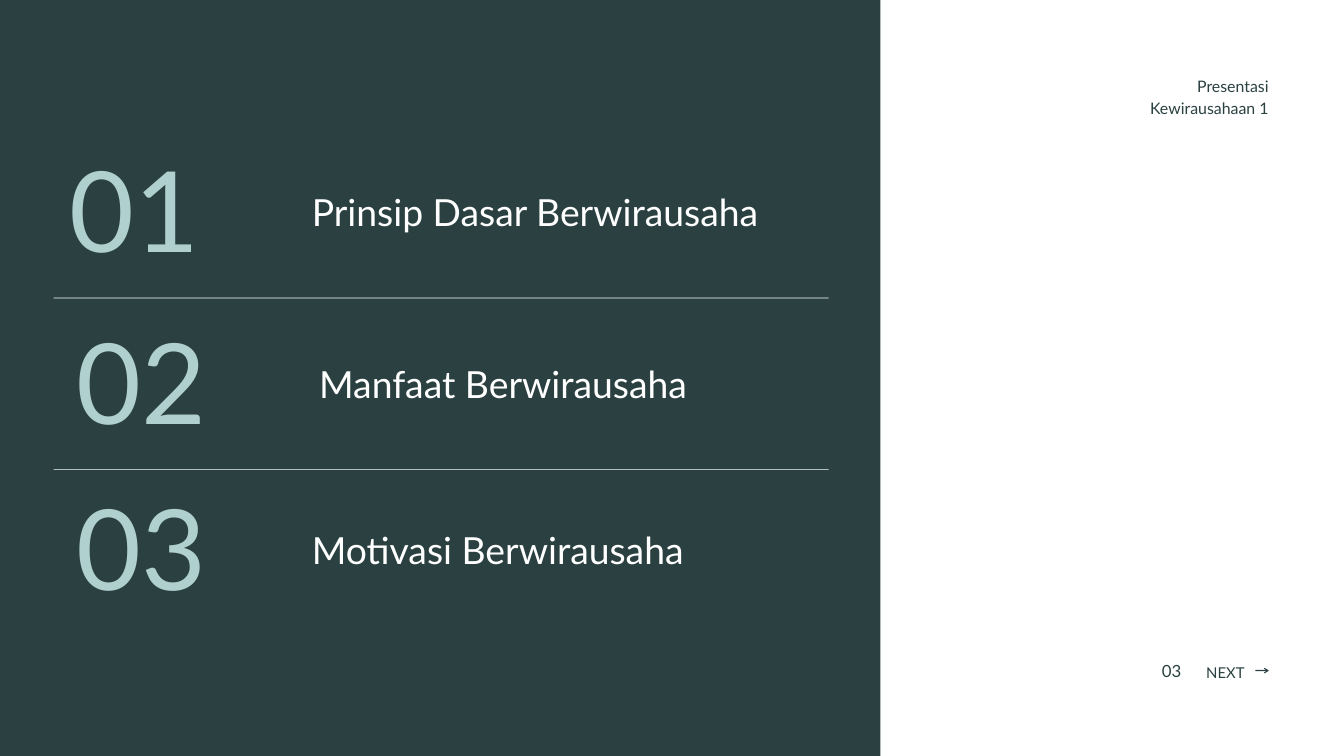
import pptx
import pptx.util
import pptx.dml.color
import pptx.enum.shapes
import pptx.enum.text

Pt = pptx.util.Pt
RGBColor = pptx.dml.color.RGBColor
ALIGN = pptx.enum.text.PP_ALIGN
RECT = pptx.enum.shapes.MSO_SHAPE.RECTANGLE

DARK = RGBColor(0x2B, 0x41, 0x41)
MINT = RGBColor(0xB0, 0xCF, 0xCF)
WHITE = RGBColor(0xFF, 0xFF, 0xFF)
FONT = "Lato"

# Content: number, its left, topic, its left, row top
TOPICS = [
    ("01", 57.6, "Prinsip Dasar Berwirausaha", 334.1, 157),
    ("02", 65.5, "Manfaat Berwirausaha", 342, 340.6),
    ("03", 65.5, "Motivasi Berwirausaha", 334.1, 518.4),
]
TOPIC_OFFSET = 38.2
RULE_TOPS = [319, 502.6]

# Small labels: text, left, top, width, height, size, line spacing, alignment
LABELS = [
    ("Presentasi Kewirausahaan 1", 1185.1, 78.5, 174.2, 45.4, 17, 23.8, ALIGN.RIGHT),
    ("03", 1244.9, 708.5, 27.4, 20.2, 18, 20.7, ALIGN.LEFT),
    ("NEXT", 1292.4, 707.8, 46.8, 20.2, 16, 22.4, ALIGN.LEFT),
]

# Outline of the arrow, clockwise from the top left of its shaft
ARROW = [
    (1345, 717.8), (1356.7, 717.8), (1354.4, 716.5), (1354.3, 715.9),
    (1355, 715.7), (1359, 718), (1359.3, 718.5), (1359, 719),
    (1355, 721.4), (1354.3, 721.2), (1354.4, 720.6), (1356.7, 719.2),
    (1345, 719.2),
]


def paint(sp, color):
    sp.shadow.inherit = False
    sp.fill.solid()
    sp.fill.fore_color.rgb = color
    sp.line.fill.background()


def add_rect(s, left, top, width, height, color):
    paint(s.shapes.add_shape(RECT, Pt(left), Pt(top), Pt(width), Pt(height)), color)


def add_text(s, text, left, top, width, height, size, spacing, align, color):
    tf = s.shapes.add_textbox(Pt(left), Pt(top), Pt(width), Pt(height)).text_frame
    tf.word_wrap = True
    tf.margin_left = tf.margin_right = tf.margin_top = tf.margin_bottom = 0
    p = tf.paragraphs[0]
    p.alignment = align
    p.line_spacing = Pt(spacing)
    r = p.add_run()
    r.text = text
    r.font.name = FONT
    r.font.size = Pt(size)
    r.font.color.rgb = color


def main():
    prs = pptx.Presentation()
    prs.slide_width, prs.slide_height = Pt(1440), Pt(810)
    s = prs.slides.add_slide(prs.slide_layouts[6])

    # Dark background and white side panel
    s.background.fill.solid()
    s.background.fill.fore_color.rgb = DARK
    add_rect(s, 943.2, 0, 504, 810, WHITE)

    # Rules between the topics
    for top in RULE_TOPS:
        add_rect(s, 57.6, top, 830.2, 0.75, WHITE)

    # Numbered topics
    for number, number_left, topic, topic_left, top in TOPICS:
        add_text(s, number, number_left, top, 172.1, 140.4, 120, 138, ALIGN.CENTER, MINT)
        add_text(s, topic, topic_left, top + TOPIC_OFFSET, 553.7, 54, 40, 56,
                 ALIGN.LEFT, WHITE)

    # Header, page number and next label with its arrow
    for label in LABELS:
        add_text(s, *label, DARK)
    points = [(Pt(x), Pt(y)) for x, y in ARROW]
    fb = s.shapes.build_freeform(*points[0])
    fb.add_line_segments(points[1:], close=True)
    paint(fb.convert_to_shape(), DARK)

    prs.save("out.pptx")


if __name__ == "__main__":
    main()
